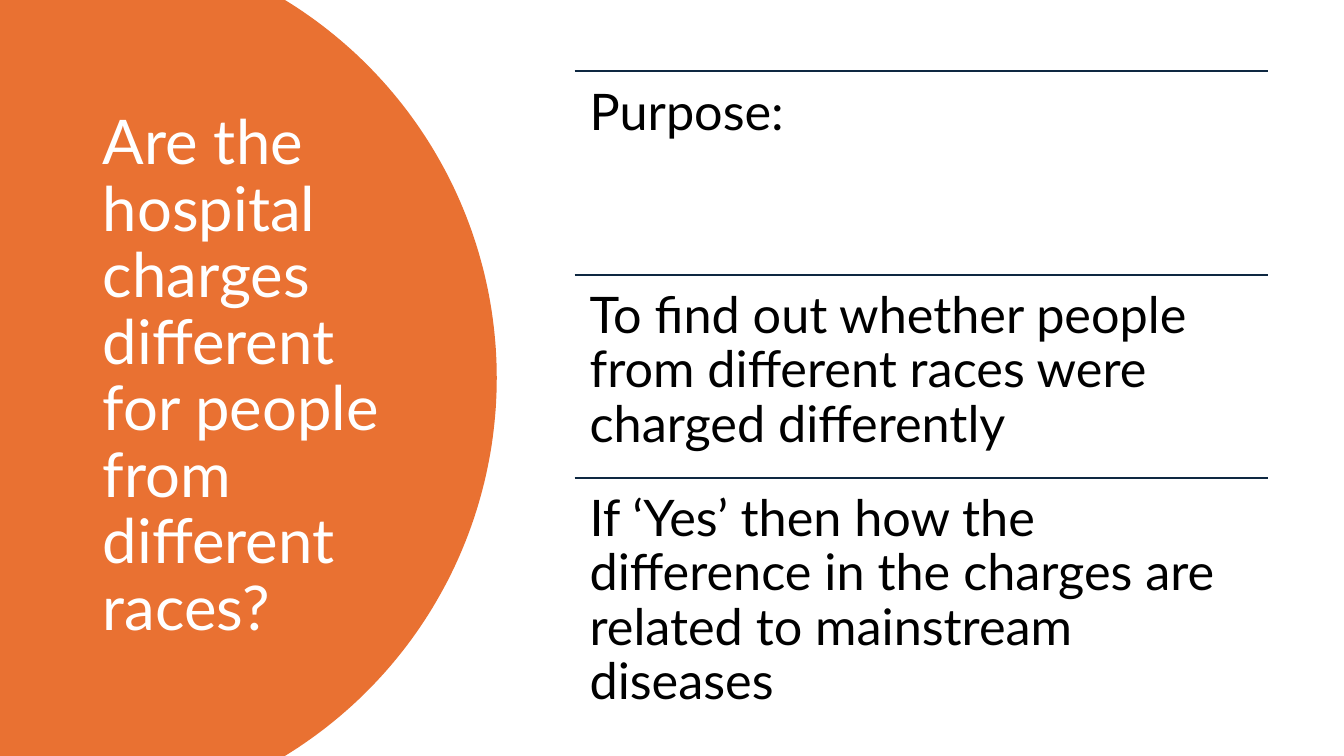
"""Build a slide with a question on a curved panel and three ruled statements."""
import math

from lxml import etree
from pptx import Presentation
from pptx.dml.color import RGBColor
from pptx.enum.shapes import MSO_CONNECTOR
from pptx.enum.text import MSO_ANCHOR, MSO_AUTO_SIZE, PP_ALIGN
from pptx.oxml.ns import qn
from pptx.util import Cm, Pt

LINE = MSO_CONNECTOR.STRAIGHT
LEFT = PP_ALIGN.LEFT
TOP, MIDDLE = MSO_ANCHOR.TOP, MSO_ANCHOR.MIDDLE
NO_FIT = MSO_AUTO_SIZE.NONE

TITLE = "Are the hospital charges different for people from different races?"
STATEMENTS = [
    "Purpose:",
    "To find out whether people from different races were charged differently",
    "If ‘Yes’ then how the difference in the charges are related to mainstream diseases",
]
COLORS = {"panel": "E97132", "rule": "0E2841", "title": "FFFFFF", "text": "000000"}
FONT = "Lato"

SLIDE_W, SLIDE_H = 33.87, 19.05
PANEL_EDGE, PANEL_RIGHT = 7.18, 12.52
ARC_STEPS = 120
ROW_LEFT, ROW_TOP, ROW_W, ROW_H = 14.48, 1.8, 17.48, 5.12


def color(name):
    return RGBColor.from_string(COLORS[name])


def write(sp, text, *, size, fill, anchor=TOP, inset=None):
    tf = sp.text_frame
    tf.word_wrap = True
    tf.auto_size = NO_FIT
    tf.vertical_anchor = anchor
    if inset is not None:
        tf.margin_left = tf.margin_right = Cm(inset)
        tf.margin_top = tf.margin_bottom = Cm(inset)
    p = tf.paragraphs[0]
    p.alignment = LEFT
    p.line_spacing = 0.9
    r = p.add_run()
    r.text = text
    r.font.name = FONT
    r.font.size = Pt(size)
    r.font.color.rgb = color(fill)


def add_panel(s):
    half = SLIDE_H / 2
    bulge = PANEL_RIGHT - PANEL_EDGE
    radius = (half ** 2 + bulge ** 2) / (2 * bulge)
    center = PANEL_RIGHT - radius
    reach = math.asin(half / radius)
    angles = [reach * (2 * i / ARC_STEPS - 1) for i in range(ARC_STEPS + 1)]
    arc = [(Cm(center + radius * math.cos(a)), Cm(half + radius * math.sin(a)))
           for a in angles]
    builder = s.shapes.build_freeform(0, 0)
    builder.add_line_segments(arc + [(0, Cm(SLIDE_H))], close=True)
    sp = builder.convert_to_shape()
    sp.shadow.inherit = False
    sp.fill.solid()
    sp.fill.fore_color.rgb = color("panel")
    sp.line.fill.background()
    return sp


def add_rule(s, top):
    rule = s.shapes.add_connector(
        LINE, Cm(ROW_LEFT), Cm(top), Cm(ROW_LEFT + ROW_W), Cm(top))
    rule.line.color.rgb = color("rule")
    rule.line.width = Pt(1.5)
    etree.SubElement(rule.element.spPr, qn("a:effectLst"))


def main():
    prs = Presentation()
    prs.slide_width, prs.slide_height = Cm(SLIDE_W), Cm(SLIDE_H)
    s = prs.slides.add_slide(prs.slide_layouts[5])

    title = s.shapes.title
    title.left, title.top = Cm(2.34), Cm(1.78)
    title.width, title.height = Cm(8.2), Cm(15.47)
    write(title, TITLE, size=44, fill="title", anchor=MIDDLE)
    title.element.addprevious(add_panel(s).element)

    for i, text in enumerate(STATEMENTS):
        top = ROW_TOP + i * ROW_H
        add_rule(s, top)
        box = s.shapes.add_textbox(Cm(ROW_LEFT), Cm(top), Cm(ROW_W), Cm(ROW_H))
        write(box, text, size=36, fill="text", inset=0.38)

    prs.save("out.pptx")


if __name__ == "__main__":
    main()
